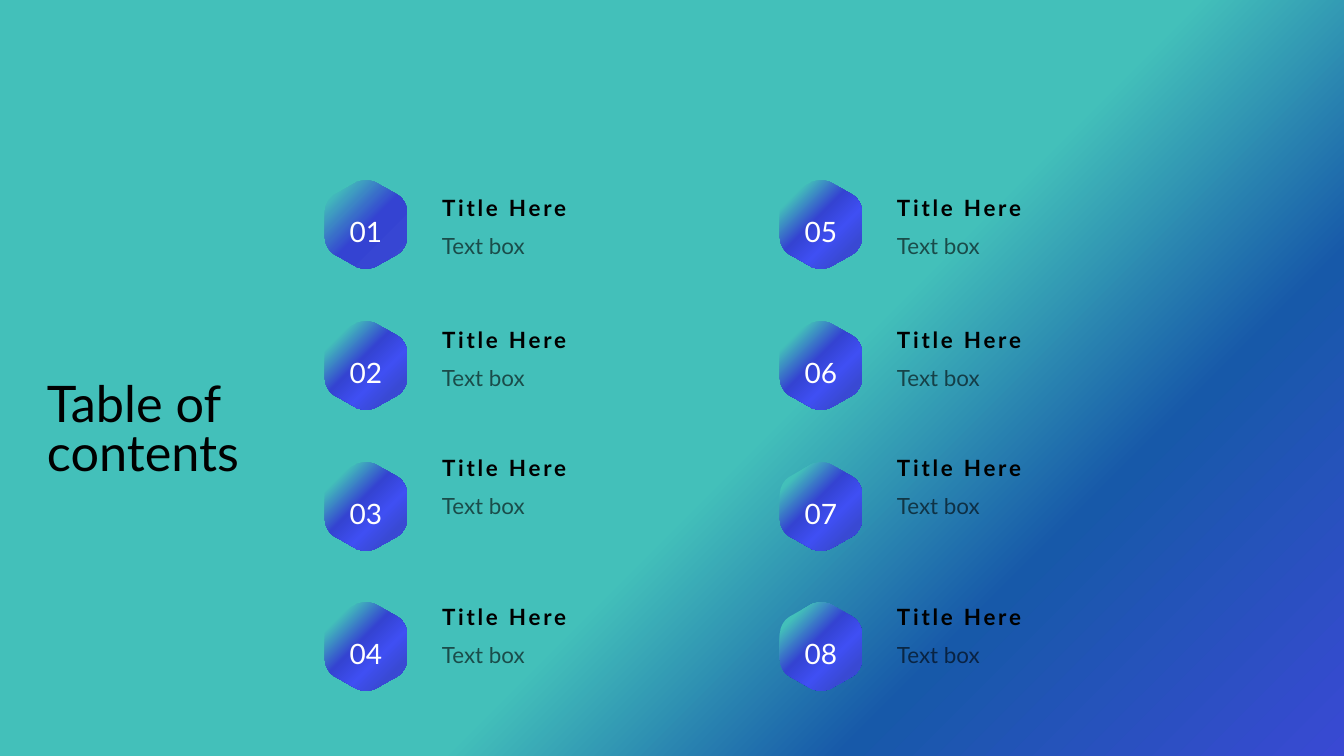
from lxml.etree import SubElement
from pptx import Presentation
from pptx.dml.color import RGBColor
from pptx.enum.text import MSO_ANCHOR, MSO_AUTO_SIZE, PP_ALIGN
from pptx.oxml.ns import qn
from pptx.util import Pt

HEADING = "Table of contents"
ITEMS = [(f"{n:02}", "Title Here", "Text box") for n in range(1, 9)]

FONT = "Lato"
BLACK, WHITE = "000000", "FFFFFF"
BACKGROUND = [(0, "3949D3"), (24, "1759A9"), (43, "43C0BA"), (76, "43C0BA"), (88, "43C0BA")]
FIRST_BADGE = [(0, "3949D3"), (48, "3443D2"), (88, "43C0BA")]
BADGE = [(18, "3949D3"), (36, "3F4FF3"), (56, "3443D2"), (83, "43C0BA")]

COLUMNS = [325, 780]
BADGE_TOPS = [180, 321, 462, 602]
TITLE_TOPS = [199, 331, 459, 608]
TEXT_OFFSET, BODY_OFFSET = 117, 28
BADGE_W, BADGE_H = 82, 89
UPPER_CORNERS = [
    [(0, 31), (0, 25), (4, 18), (9, 15)],
    [(32, 2), (37, 0), (45, 0), (50, 2)],
    [(73, 15), (78, 18), (82, 25), (82, 31)],
]


def px(n):
    return round(n * 914400 / 100.8)


def rgb(value):
    return RGBColor.from_string(value)


def set_gradient(fill, element, stops):
    fill.gradient()
    grad = element.find(".//" + qn("a:gradFill"))
    for child in list(grad):
        grad.remove(child)
    stop_list = SubElement(grad, qn("a:gsLst"))
    for position, color in stops:
        stop = SubElement(stop_list, qn("a:gs"), pos=str(position * 1000))
        SubElement(stop, qn("a:srgbClr"), val=color)
    circle = SubElement(grad, qn("a:path"), path="circle")
    SubElement(circle, qn("a:fillToRect"), l="100000", t="100000")


def style_run(r, size, color, bold=False):
    r.font.name, r.font.size, r.font.bold = FONT, Pt(size), bold
    r.font.color.rgb = rgb(color)


def add_text(shapes, text, box, size, line_spacing, bold=False, wrap=True, right=0):
    sp = shapes.add_textbox(*map(px, box))
    tf = sp.text_frame
    tf.text = text
    tf.word_wrap = wrap
    tf.auto_size = MSO_AUTO_SIZE.SHAPE_TO_FIT_TEXT
    tf.margin_left = tf.margin_top = tf.margin_bottom = 0
    tf.margin_right = px(right)
    p = tf.paragraphs[0]
    p.line_spacing = line_spacing
    r = p.runs[0]
    style_run(r, size, BLACK, bold)
    return r


def round_corners(sp):
    lines = sp.element.findall(".//" + qn("a:lnTo"))
    for first in range(0, len(lines), 4):
        curve = lines[first]
        if first:
            curve = lines[first - 1]
        curve.tag


def hexagon_outline():
    upper = [point for corner in UPPER_CORNERS for point in corner]
    return upper + [(BADGE_W - x, BADGE_H - y) for x, y in upper]


def curve_corners(sp):
    lines = sp.element.findall(".//" + qn("a:lnTo"))
    outline = lines[0].getparent()
    for i in range(0, len(lines), 4):
        corner = lines[i:i + 3]
        curve = SubElement(outline, qn("a:cubicBezTo"))
        corner[0].addprevious(curve)
        for line in corner:
            curve.append(line[0])
            outline.remove(line)


def add_badge(shapes, number, left, top, stops):
    points = [(px(left + x), px(top + y)) for x, y in hexagon_outline()]
    builder = shapes.build_freeform(*points[0])
    builder.add_line_segments(points[1:], close=True)
    sp = builder.convert_to_shape()
    curve_corners(sp)
    sp.shadow.inherit = False
    set_gradient(sp.fill, sp.element, stops)
    sp.line.fill.background()
    tf = sp.text_frame
    tf.text = number
    tf.word_wrap = True
    tf.vertical_anchor = MSO_ANCHOR.TOP
    tf.margin_left = tf.margin_right = tf.margin_bottom = 0
    tf.margin_top = px(34)
    p = tf.paragraphs[0]
    p.alignment = PP_ALIGN.CENTER
    style_run(p.runs[0], 20, WHITE)


def add_entry(shapes, title, body, left, top):
    group = shapes.add_group_shape()
    r = add_text(group.shapes, title, (left, top, 128, 23), 16, 0.8, bold=True, wrap=False)
    r.font._element.set("spc", "200")
    r = add_text(group.shapes, body, (left, top + BODY_OFFSET, 279, 30), 16, 1.2, right=10)
    color = r.font._element.find(".//" + qn("a:srgbClr"))
    SubElement(color, qn("a:alpha"), val="60000")


def main():
    prs = Presentation()
    prs.slide_width, prs.slide_height = px(1344), px(756)
    s = prs.slides.add_slide(prs.slide_layouts[6])
    set_gradient(s.background.fill, s.element, BACKGROUND)
    add_text(s.shapes, HEADING, (47, 384, 229, 99), 36, 0.8)
    for i, (number, title, body) in enumerate(ITEMS):
        column, row = divmod(i, len(BADGE_TOPS))
        left = COLUMNS[column]
        add_badge(s.shapes, number, left, BADGE_TOPS[row], BADGE if i else FIRST_BADGE)
        add_entry(s.shapes, title, body, left + TEXT_OFFSET, TITLE_TOPS[row])
    prs.save("out.pptx")


if __name__ == "__main__":
    main()
